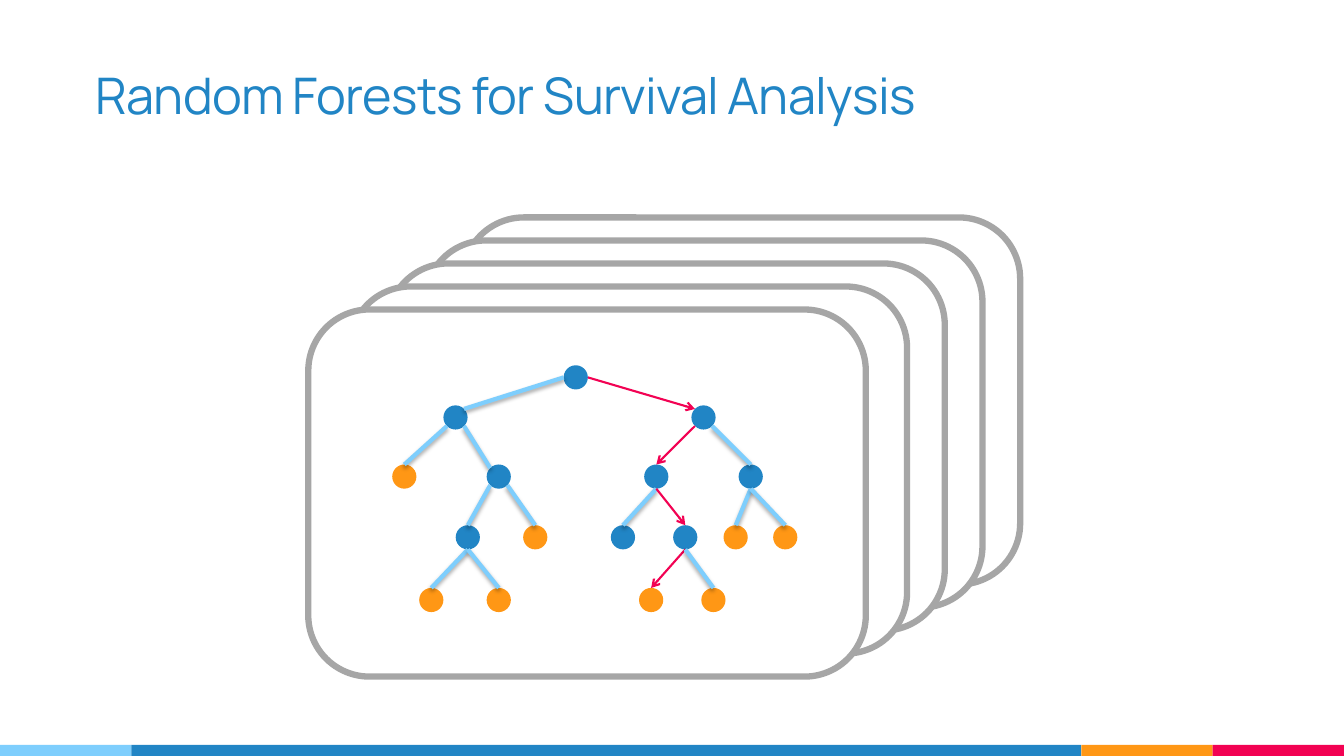
from dataclasses import dataclass
from math import cos, radians, sin

from lxml import etree
from pptx import Presentation
from pptx.dml.color import RGBColor
from pptx.enum.shapes import MSO_CONNECTOR, MSO_SHAPE
from pptx.enum.text import MSO_ANCHOR, MSO_AUTO_SIZE, PP_ALIGN
from pptx.oxml.ns import qn
from pptx.util import Cm, Pt


@dataclass(frozen=True)
class Theme:
    blue: str = "2185C5"
    sky: str = "7ECEFD"
    orange: str = "FF9715"
    red: str = "F20253"
    grey: str = "A6A6A6"
    white: str = "FFFFFF"
    black: str = "000000"
    font: str = "Manrope"
    title_size: int = 36
    title_spacing: int = -50
    card_line: float = 4.5
    branch_line: float = 3
    path_line: float = 1.5


THEME = Theme()
TITLE = "Random Forests for Survival Analysis"
SLIDE_WIDTH, SLIDE_HEIGHT = 33.87, 19.05

# Footer: (colour, width in cm), from left to right
FOOTER = [(THEME.sky, 3.31), (THEME.blue, 23.94), (THEME.orange, 3.31), (THEME.red, 3.31)]
FOOTER_HEIGHT = 0.28

# Cards: the front one, then the stack behind it
CARD_SIZE = (14.05, 9.25)
FRONT_CARD = (7.77, 7.8)
STACK_LEFT, STACK_COUNT = 8.81, 4
STACK_STEP_X, STACK_STEP_Y = 0.95, 0.58

# Each node is named by its route from the root: L left, R right
NODE_DIAMETER = 0.61
LEVEL_Y = [9.51, 10.52, 12.01, 13.54, 15.12]
NODE_X = {
    "": 14.51, "L": 11.48, "R": 17.73,
    "LL": 10.19, "LR": 12.57, "RL": 16.54, "RR": 18.92,
    "LRL": 11.79, "LRR": 13.49, "RLL": 15.7, "RLR": 17.27, "RRL": 18.54, "RRR": 19.79,
    "LRLL": 10.87, "LRLR": 12.57, "RLRL": 16.41, "RLRR": 17.98,
}
LEAVES = {"LL", "LRR", "LRLL", "LRLR", "RLRL", "RLRR", "RRL", "RRR"}
PREDICTION_PATH = {"R", "RL", "RLR", "RLRL"}

# Clockwise angle from the right-hand side of a node
SITES = {"right": 0, "lower right": 45, "bottom": 90, "lower left": 135,
         "left": 180, "upper left": 225, "top": 270, "upper right": 315}
# Child node: (site on its parent, site on the child); others go bottom to top
EDGE_SITES = {
    "L": ("left", "upper right"), "R": ("right", "upper left"),
    "LL": ("lower left", "top"), "LR": ("lower right", "upper left"),
    "RL": ("lower left", "top"), "RR": ("lower right", "top"),
    "LRL": ("lower left", "top"), "LRR": ("lower right", "top"),
}


def rgb(colour):
    return RGBColor.from_string(colour)


def add_block(slide, kind, left, top, width, height, fill, line=None):
    block = slide.shapes.add_shape(kind, Cm(left), Cm(top), Cm(width), Cm(height))
    block.shadow.inherit = False
    block.fill.solid()
    block.fill.fore_color.rgb = rgb(fill)
    if line:
        block.line.color.rgb = rgb(line)
        block.line.width = Pt(THEME.card_line)
    else:
        block.line.fill.background()


def add_title(slide):
    title = slide.shapes.title
    title.left, title.top, title.width, title.height = Cm(2.16), Cm(0.81), Cm(23.27), Cm(2.57)
    frame = title.text_frame
    frame.margin_left = frame.margin_right = frame.margin_top = frame.margin_bottom = Cm(0.25)
    frame.vertical_anchor = MSO_ANCHOR.BOTTOM
    frame.auto_size = MSO_AUTO_SIZE.NONE
    frame.word_wrap = True
    paragraph = frame.paragraphs[0]
    paragraph.alignment = PP_ALIGN.LEFT
    run = paragraph.add_run()
    run.text = TITLE
    run.font.name = THEME.font
    run.font.size = Pt(THEME.title_size)
    run.font.color.rgb = rgb(THEME.blue)
    run.font._element.set("spc", str(THEME.title_spacing))


def add_footer(slide):
    left = 0
    for colour, width in FOOTER:
        add_block(slide, MSO_SHAPE.RECTANGLE, left, SLIDE_HEIGHT - FOOTER_HEIGHT,
                  width, FOOTER_HEIGHT, colour)
        left += width


def add_cards(slide):
    stack = [(STACK_LEFT + i * STACK_STEP_X, FRONT_CARD[1] - (i + 1) * STACK_STEP_Y)
             for i in reversed(range(STACK_COUNT))]
    for left, top in stack + [FRONT_CARD]:
        add_block(slide, MSO_SHAPE.ROUNDED_RECTANGLE, left, top, *CARD_SIZE,
                  THEME.white, THEME.grey)


def site_point(node, site):
    angle = radians(SITES[site])
    radius = NODE_DIAMETER / 2
    return (Cm(NODE_X[node] + radius * cos(angle)),
            Cm(LEVEL_Y[len(node)] + radius * sin(angle)))


def add_soft_shadow(effects):
    shadow = etree.SubElement(effects, qn("a:outerShdw"), blurRad=str(Pt(3.1)),
                              dist=str(Pt(1.8)), dir="5400000", rotWithShape="0")
    colour = etree.SubElement(shadow, qn("a:srgbClr"), val=THEME.black)
    etree.SubElement(colour, qn("a:alpha"), val="35000")


def add_edge(slide, child):
    parent = child[:-1]
    start_site, end_site = EDGE_SITES.get(child, ("bottom", "top"))
    edge = slide.shapes.add_connector(MSO_CONNECTOR.STRAIGHT, *site_point(parent, start_site),
                                      *site_point(child, end_site))
    on_path = child in PREDICTION_PATH
    edge.line.color.rgb = rgb(THEME.red if on_path else THEME.sky)
    edge.line.width = Pt(THEME.path_line if on_path else THEME.branch_line)
    if on_path:
        etree.SubElement(edge.line._get_or_add_ln(), qn("a:tailEnd"), type="arrow")
    effects = etree.SubElement(edge._element.spPr, qn("a:effectLst"))
    if not on_path:
        add_soft_shadow(effects)


def add_tree(slide):
    radius = NODE_DIAMETER / 2
    for node, x in NODE_X.items():
        add_block(slide, MSO_SHAPE.OVAL, x - radius, LEVEL_Y[len(node)] - radius,
                  NODE_DIAMETER, NODE_DIAMETER,
                  THEME.orange if node in LEAVES else THEME.blue)
    for child in filter(None, NODE_X):
        add_edge(slide, child)


def main():
    deck = Presentation()
    deck.slide_width, deck.slide_height = Cm(SLIDE_WIDTH), Cm(SLIDE_HEIGHT)
    slide = deck.slides.add_slide(deck.slide_layouts.get_by_name("Title Only"))
    add_title(slide)
    add_footer(slide)
    add_cards(slide)
    add_tree(slide)
    deck.save("out.pptx")


if __name__ == "__main__":
    main()
